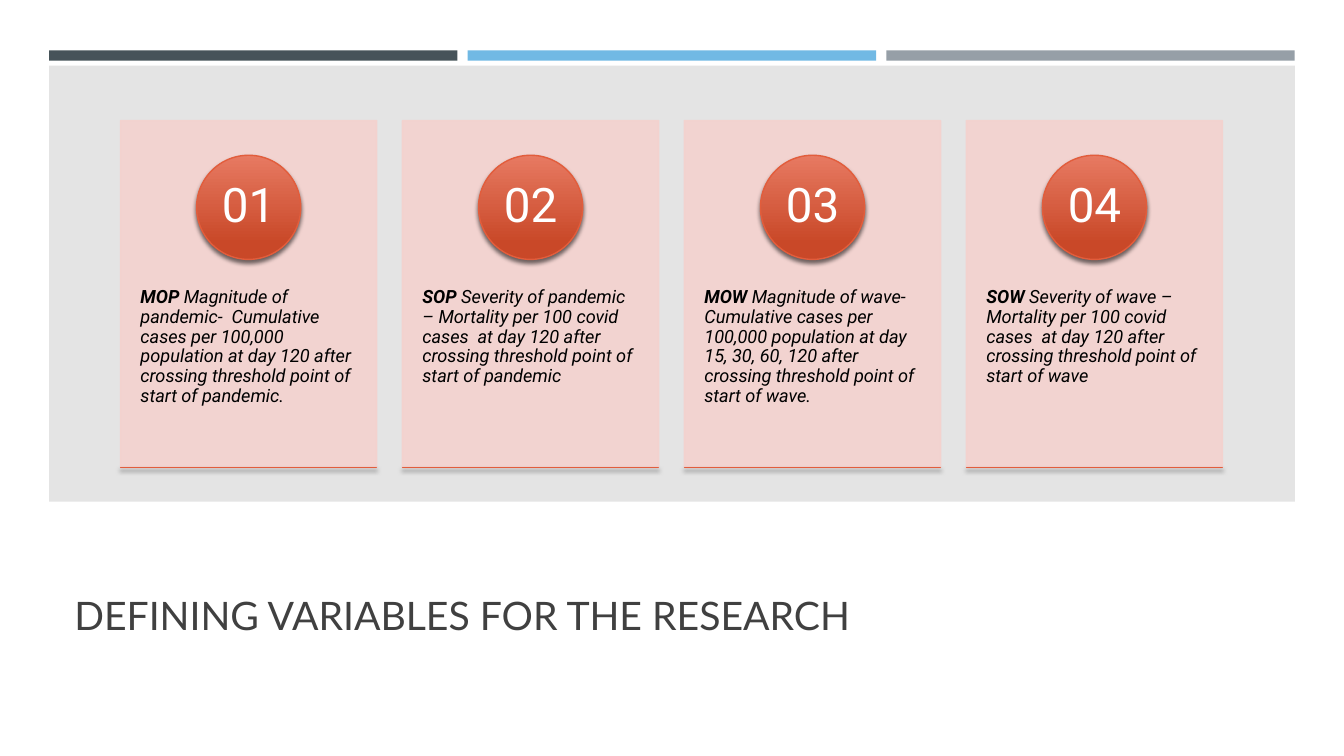
from lxml import etree
from pptx import Presentation
from pptx import util as u
from pptx.dml.color import RGBColor
from pptx.enum import shapes, text
from pptx.oxml.ns import qn

Pt = u.Pt
RECT = shapes.MSO_SHAPE.RECTANGLE
OVAL = shapes.MSO_SHAPE.OVAL
TOP, MIDDLE = text.MSO_ANCHOR.TOP, text.MSO_ANCHOR.MIDDLE
LEFT, CENTER = text.PP_ALIGN.LEFT, text.PP_ALIGN.CENTER

VARIABLES = [
    ("MOP", "Magnitude of pandemic-  Cumulative cases per 100,000 population "
            "at day 120 after crossing threshold point of start of pandemic."),
    ("SOP", "Severity of pandemic – Mortality per 100 covid cases  at day 120 "
            "after crossing threshold point of start of pandemic"),
    ("MOW", "Magnitude of wave-  Cumulative cases per 100,000 population at day "
            "15, 30, 60, 120 after crossing threshold point of start of wave."),
    ("SOW", "Severity of wave – Mortality per 100 covid cases  at day 120 "
            "after crossing threshold point of start of wave"),
]


def rgb(value):
    return RGBColor.from_string(value)


def add_alpha(parent, percent):
    """Make every colour below parent partly transparent."""
    for clr in parent.iter(qn("a:srgbClr")):
        etree.SubElement(clr, qn("a:alpha"), val=str(percent * 1000))


class Deck:
    head_font = "Lato"
    body_font = "Roboto"
    card_color = "F4D2CE"
    accent_stops = [(0, "E77A62"), (0.84, "C94828")]
    accent_line = "E25D3C"

    def __init__(self, prs):
        self.s = prs.slides.add_slide(prs.slide_layouts[6])

    def block(self, x, y, w, h, fill, line=None, alpha=None):
        """Flat rectangle."""
        sp = self.s.shapes.add_shape(RECT, Pt(x), Pt(y), Pt(w), Pt(h))
        sp.shadow.inherit = False
        sp.fill.solid()
        sp.fill.fore_color.rgb = rgb(fill)
        if line:
            sp.line.color.rgb = rgb(line)
            sp.line.width = Pt(1)
        else:
            sp.line.fill.background()
        if alpha:
            add_alpha(sp._element.spPr, alpha)

    def accent(self, kind, x, y, w, h):
        """Shape with the red gradient and a soft shadow below it."""
        sp = self.s.shapes.add_shape(kind, Pt(x), Pt(y), Pt(w), Pt(h))
        sp.fill.gradient()
        sp.fill.gradient_angle = 270
        for stop, (pos, color) in zip(sp.fill.gradient_stops, self.accent_stops):
            stop.position = pos
            stop.color.rgb = rgb(color)
        sp.line.color.rgb = rgb(self.accent_line)
        sp.line.width = Pt(1)
        sp.shadow.inherit = False
        shadow = etree.SubElement(
            sp._element.spPr.find(qn("a:effectLst")), qn("a:outerShdw"),
            blurRad=str(Pt(3)), dist=str(Pt(2)), dir="5400000", rotWithShape="0")
        etree.SubElement(shadow, qn("a:srgbClr"), val="000000")
        add_alpha(shadow, 55)
        return sp

    def box(self, x, y, w, h):
        return self.s.shapes.add_textbox(Pt(x), Pt(y), Pt(w), Pt(h))

    def set_text(self, sp, runs, size, color, font, inset=(7.2, 3.6),
                 anchor=TOP, align=LEFT, spacing=1.0):
        """Fill sp with one paragraph; runs are (words, font format) pairs."""
        tf = sp.text_frame
        across, down = inset
        frame = dict(word_wrap=True, vertical_anchor=anchor,
                     margin_left=Pt(across), margin_right=Pt(across),
                     margin_top=Pt(down), margin_bottom=Pt(down))
        for name, value in frame.items():
            setattr(tf, name, value)
        p = tf.paragraphs[0]
        p.alignment = align
        p.line_spacing = spacing
        for words, extra in runs:
            r = p.add_run()
            r.text = words
            r.font.color.rgb = rgb(color)
            for name, value in dict(name=font, size=Pt(size), **extra).items():
                setattr(r.font, name, value)

    def card(self, x, y, number, term, meaning):
        w, h, disc = 183, 248, 74.4
        self.block(x, y, w, h, self.card_color, self.card_color, 90)
        self.set_text(self.box(x, y + 93.8, w, 148.5),
                      [(term, dict(bold=True, italic=True)),
                       (" " + meaning, dict(bold=False, italic=True))],
                      13, "000000", self.body_font, (14.3, 25.9), spacing=0.9)
        sp = self.accent(OVAL, x + (w - disc) / 2, y + 24.8, disc, disc)
        self.set_text(sp, [(f"{number:02}", {})], 34, "FFFFFF", self.body_font,
                      (5.8, 1), MIDDLE, CENTER, 0.9)
        self.accent(RECT, x, y + h, w, 0.01)


def main():
    prs = Presentation()
    prs.slide_width, prs.slide_height = Pt(960), Pt(540)
    deck = Deck(prs)
    left = 35.1
    for i, color in enumerate(["465359", "71B9E4", "969FA7"]):
        deck.block(left + i * 299, 36, 291.7, 7.4, color)
    deck.block(left, 46.9, 889.8, 311.5, "D9D9D9", alpha=70)
    for i, (term, meaning) in enumerate(VARIABLES):
        deck.card(86.1 + i * 201.4, 86.1, i + 1, term, meaning)
    deck.set_text(deck.box(46, 382.3, 868.3, 113.8),
                  [("DEFINING VARIABLES FOR THE RESEARCH", {})],
                  28, "404040", deck.head_font, anchor=MIDDLE)
    prs.save("out.pptx")


if __name__ == "__main__":
    main()
